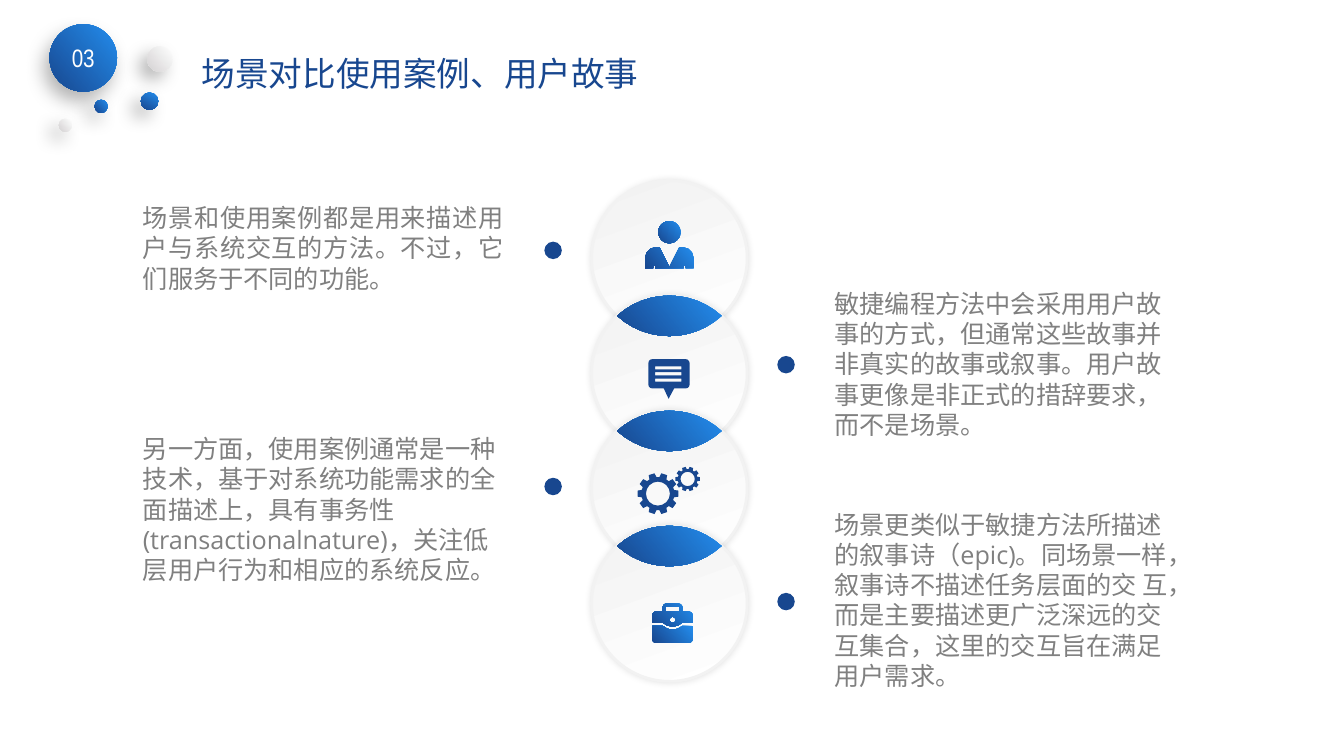
from math import acos, cos, degrees, radians, sin

from lxml import etree
from pptx import Presentation
from pptx.dml.color import RGBColor
from pptx.enum.shapes import MSO_SHAPE
from pptx.enum.text import MSO_ANCHOR, MSO_AUTO_SIZE, PP_ALIGN
from pptx.oxml.ns import qn
from pptx.util import Cm, Pt

OVAL = MSO_SHAPE.OVAL
TOP, MIDDLE = MSO_ANCHOR.TOP, MSO_ANCHOR.MIDDLE
LEFT, CENTER, JUSTIFY = PP_ALIGN.LEFT, PP_ALIGN.CENTER, PP_ALIGN.JUSTIFY
FIT_SHAPE = MSO_AUTO_SIZE.SHAPE_TO_FIT_TEXT

COLORS = {"navy": "18478F", "sky": "238DED", "white": "FFFFFF", "mist": "F2F2F2",
          "silver": "D4D2D3", "gray": "808080", "black": "000000"}
BLUE = ("sky", "navy", 140)
PEARL = ("white", "silver", 140)
PALE = ("white", "mist", 250)

# Chain of links, in cm
CHAIN_X, CHAIN_Y, RADIUS, PITCH = 16.87, 6.51, 1.96, 2.9

# centre x, centre y, diameter, fill, shadow direction
HEADER_BALLS = [
    (4.03, 1.49, 0.64, PEARL, 135),
    (1.65, 3.16, 0.33, PEARL, 135),
    (2.55, 2.68, 0.33, BLUE, 135),
    (3.77, 2.55, 0.44, ("sky", "navy", 120), 135),
]
# left, top, width, height, alignment, wording
NOTES = [
    (20.78, 7.14, 9.3, 4.09, LEFT,
     "敏捷编程方法中会采用用户故事的方式，但通常这些故事并非真实的故事或叙事。"
     "用户故事更像是非正式的措辞要求， 而不是场景。"),
    (3.35, 4.98, 9.6, 2.57, JUSTIFY,
     "场景和使用案例都是用来描述用户与系统交互的方法。不过，它们服务于不同的功能。"),
    (3.35, 10.8, 9.6, 4.09, LEFT,
     "另一方面，使用案例通常是一种技术，基于对系统功能需求的全面描述上，具有事务性"
     "(transactionalnature)，关注低层用户行为和相应的系统反应。"),
    (20.78, 12.7, 9.3, 4.88, LEFT,
     "场景更类似于敏捷方法所描述的叙事诗（epic)。同场景一样，叙事诗不描述任务层面的交 互，"
     "而是主要描述更广泛深远的交互集合，这里的交互旨在满足用户需求。"),
]
BULLETS = [(13.94, 6.31), (19.81, 9.19), (13.94, 12.26), (19.81, 15.16)]


def rgb(name):
    """Return the named colour."""
    return RGBColor.from_string(COLORS[name])


def paint(shape, fill, line=None, shadow=None):
    """Apply a solid or gradient fill, an outline and an outer shadow."""
    if isinstance(fill, str):
        shape.fill.solid()
        shape.fill.fore_color.rgb = rgb(fill)
    else:
        shape.fill.gradient()
        for stop, name in zip(shape.fill.gradient_stops, fill):
            stop.color.rgb = rgb(name)
        shape.fill.gradient_angle = 360 - fill[2]
    if line:
        shape.line.color.rgb = rgb(line)
        shape.line.width = Pt(2)
    else:
        shape.line.fill.background()
    shape.shadow.inherit = False
    if shadow:
        alpha, blur, distance, direction = shadow
        effects = shape._element.spPr.find(qn("a:effectLst"))
        outer = etree.SubElement(effects, qn("a:outerShdw"), blurRad=str(Pt(blur)),
                                 dist=str(Pt(distance)), dir=str(direction * 60000),
                                 algn="ctr", rotWithShape="0")
        tint = etree.SubElement(outer, qn("a:srgbClr"), val=COLORS["black"])
        etree.SubElement(tint, qn("a:alpha"), val=str(alpha * 1000))


def ball(slide, x, y, diameter, fill, **style):
    """Add a circle around a centre point."""
    corner = Cm(x - diameter / 2), Cm(y - diameter / 2)
    circle = slide.shapes.add_shape(OVAL, *corner, Cm(diameter), Cm(diameter))
    paint(circle, fill, **style)
    return circle


def outline(slide, x, y, contours, fill):
    """Add closed contours given relative to a point; inner ones are holes."""
    rings = [[(Cm(x + dx), Cm(y + dy)) for dx, dy in ring] for ring in contours]
    builder = slide.shapes.build_freeform(*rings[0][0])
    builder.add_line_segments(rings[0][1:])
    for ring in rings[1:]:
        builder.move_to(*ring[0])
        builder.add_line_segments(ring[1:])
    paint(builder.convert_to_shape(), fill)


def polar(x, y, radius, angle):
    """Return a point at an angle in degrees, clockwise from the right."""
    return x + radius * cos(radians(angle)), y + radius * sin(radians(angle))


def arc(x, y, radius, start, end, steps=3):
    """Return points on an arc, or its centre when the radius is zero."""
    if not radius:
        return [(x, y)]
    return [polar(x, y, radius, start + (end - start) * i / steps)
            for i in range(steps + 1)]


def box(left, top, right, bottom, upper=0, lower=0):
    """Return a rectangle with optionally rounded upper and lower corners."""
    return (arc(left + upper, top + upper, upper, 180, 270)
            + arc(right - upper, top + upper, upper, 270, 360)
            + arc(right - lower, bottom - lower, lower, 0, 90)
            + arc(left + lower, bottom - lower, lower, 90, 180))


def mirror(points):
    """Return the points reflected left to right, in reverse order."""
    return [(-x, y) for x, y in reversed(points)]


def write(frame, wording, font, size, color, align):
    """Write one run into a text frame."""
    frame.word_wrap = True
    paragraph = frame.paragraphs[0]
    paragraph.alignment = align
    run = paragraph.add_run()
    run.text = wording
    run.font.name, run.font.size = font, Pt(size)
    run.font.color.rgb = rgb(color)


def add_header(slide):
    """Add the section number, its satellite balls and the title."""
    badge = ball(slide, 2.1, 1.46, 1.7, BLUE, shadow=(30, 14, 8, 120))
    frame = badge.text_frame
    frame.margin_left = frame.margin_right = 0
    frame.vertical_anchor = MIDDLE
    write(frame, "03", "Arial Narrow", 18, "white", CENTER)
    for x, y, diameter, fill, direction in HEADER_BALLS:
        ball(slide, x, y, diameter, fill, shadow=(30, 13, 8, direction))
    title = slide.shapes.title
    title.left, title.top, title.width, title.height = Cm(4.83), Cm(1.2), Cm(11.9), Cm(1.28)
    title.text_frame.vertical_anchor = TOP
    write(title.text_frame, "场景对比使用案例、用户故事", "Open Sans", 24, "navy", LEFT)


def add_chain(slide, centers):
    """Add the pale links and the blue lenses where they overlap."""
    for y in centers:
        ball(slide, CHAIN_X, y, 2 * RADIUS, PALE, line="mist", shadow=(11, 5, 0, 0))
    half_angle = degrees(acos(PITCH / 2 / RADIUS))
    cap = arc(0, 0, RADIUS, 90 - half_angle, 90 + half_angle, 12)
    lens = cap + [(x, PITCH - y) for x, y in cap[-2:0:-1]]
    for y in centers[:-1]:
        outline(slide, CHAIN_X, y, [lens], BLUE)


def add_person(slide, x, y):
    """Add the user icon."""
    ball(slide, x, y - 0.66, 0.56, BLUE)
    right = ([(0.25, -0.28)] + arc(0.34, -0.01, 0.27, 270, 360)
             + [(0.61, 0.25), (0.41, 0.25), (0.41, 0.18), (0.36, 0.18), (0.36, 0.25)])
    outline(slide, x, y, [[(0, 0.22)] + right + mirror(right)], BLUE)


def add_bubble(slide, x, y):
    """Add the speech bubble icon."""
    slots = [box(-0.36, top, 0.3, top + 0.08) for top in (-0.18, -0.03, 0.13)]
    outline(slide, x, y, [[(-0.15, 0.36), (0.13, 0.36), (-0.02, 0.64)]], "navy")
    outline(slide, x, y, [box(-0.53, -0.36, 0.51, 0.38, 0.1, 0.1)] + slots, "navy")


def add_gears(slide, x, y):
    """Add the pair of gears, each with ten teeth."""
    profile = ((-13, 0.8), (-8.5, 1), (8.5, 1), (13, 0.8))
    for dx, dy, radius in ((-0.29, 0.13, 0.52), (0.46, -0.24, 0.31)):
        teeth = [polar(0, 0, radius * reach, angle + offset)
                 for angle in range(0, 360, 36) for offset, reach in profile]
        hole = arc(0, 0, radius * 0.58, 0, 360, 16)
        outline(slide, x + dx, y + dy, [teeth, hole], "navy")


def add_briefcase(slide, x, y):
    """Add the briefcase icon with its curved flap."""
    flap = arc(0, 0.22, 0.36, 46.4, 133.6, 4)
    pocket = [(dx, dy + 0.08) for dx, dy in reversed(flap)]
    base = box(-0.51, 0.56, 0.51, 0.99, 0, 0.1)
    outline(slide, x + 0.08, y, [base[:1] + pocket + base[1:]], BLUE)
    right = (arc(0.15, 0.1, 0.1, 270, 360) + [(0.25, 0.2)]
             + arc(0.41, 0.3, 0.1, 270, 360) + [(0.51, 0.48)])
    holes = [box(-0.18, 0.08, 0.18, 0.2), arc(0, 0.41, 0.08, 0, 360, 8)]
    outline(slide, x + 0.08, y, [right + flap + mirror(right)] + holes, BLUE)


def add_note(slide, left, top, width, height, align, wording):
    """Add one explanatory paragraph."""
    note = slide.shapes.add_textbox(Cm(left), Cm(top), Cm(width), Cm(height))
    write(note.text_frame, wording, "Open Sans", 18, "gray", align)
    note.text_frame.auto_size = FIT_SHAPE


def main():
    """Build and save the slide."""
    deck = Presentation()
    deck.slide_width, deck.slide_height = Cm(33.87), Cm(19.05)
    slide = deck.slides.add_slide(deck.slide_layouts[5])
    add_header(slide)
    icons = (add_person, add_bubble, add_gears, add_briefcase)
    centers = [CHAIN_Y + link * PITCH for link in range(len(icons))]
    add_chain(slide, centers)
    for add_icon, y in zip(icons, centers):
        add_icon(slide, CHAIN_X, y)
    for note in NOTES:
        add_note(slide, *note)
    for x, y in BULLETS:
        ball(slide, x, y, 0.44, "navy")
    deck.save("out.pptx")


main()
